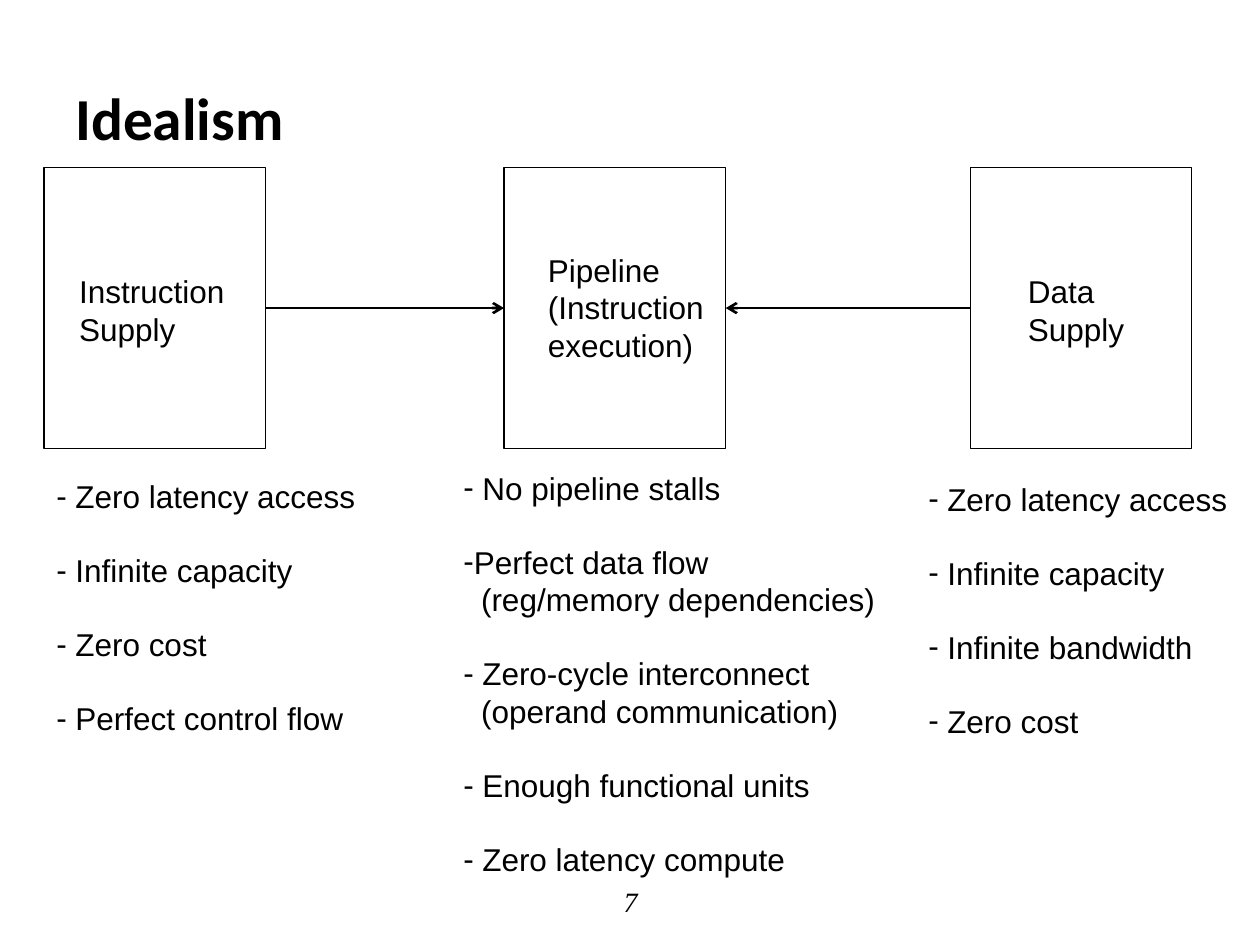
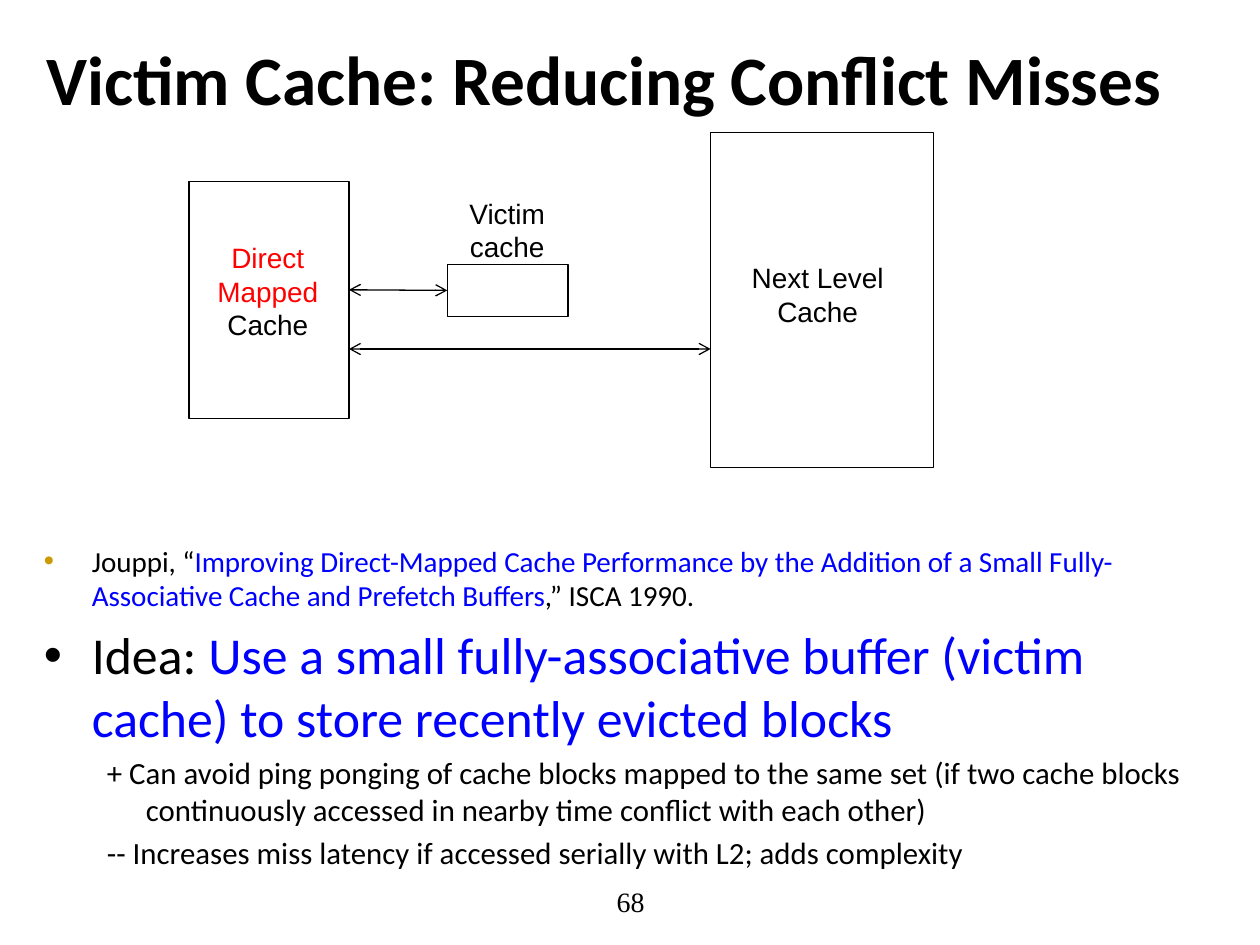
from dataclasses import dataclass
from typing import Optional

from lxml.etree import SubElement
from pptx import Presentation
from pptx.dml.color import RGBColor
from pptx.enum.shapes import MSO_CONNECTOR as Connector, MSO_SHAPE as Preset
from pptx.enum.text import MSO_ANCHOR as Anchor, PP_ALIGN as Align
from pptx.oxml.ns import qn
from pptx.util import Pt

PX = 9144  # 100 px to the inch
COLORS = {"black": "000000", "blue": "0000FF", "red": "FF0000", "gold": "CC9900"}
TOP, LEFT, BOTTOM, RIGHT = range(4)


@dataclass(frozen=True)
class Box:
    left: int
    top: int
    width: int
    height: int

    @property
    def emu(self) -> tuple[int, ...]:
        return tuple(px * PX for px in (self.left, self.top, self.width, self.height))


@dataclass(frozen=True)
class Style:
    font: str = "Arial"
    size: float = 18
    bold: bool = False
    italic: bool = False
    align: Align = Align.LEFT


@dataclass(frozen=True)
class Run:
    text: str
    color: str = "black"


@dataclass(frozen=True)
class Line:
    """One paragraph; margin and indent are in px, space_before in points."""
    runs: tuple[Run, ...]
    style: Style = Style()
    bullet: str = ""
    bullet_color: str = "black"
    margin: int = 0
    indent: int = 0
    space_before: float = 0


@dataclass(frozen=True)
class Stage:
    block: Box
    label_box: Box
    label: tuple[str, ...]
    ideals_box: Box
    ideals: tuple[Line, ...]


LABEL = Style()
CACHE_LABEL = Style(size=16, align=Align.CENTER)
IDEAL_GAP = 20.7  # one line of 18 pt Arial
NUMBER_BOX = Box(342, 695, 317, 40)


def rgb(name: str) -> RGBColor:
    return RGBColor.from_string(COLORS[name])


def plain(*texts: str, style: Style = LABEL) -> tuple[Line, ...]:
    return tuple(Line((Run(text),), style) for text in texts)


def ideal(text: str, hang: int = 15) -> Line:
    return Line((Run(text),), bullet="-", margin=hang, indent=-hang, space_before=IDEAL_GAP)


def detail(text: str) -> Line:
    """Continuation set under the ideal above it."""
    return Line((Run(text),), margin=14)


def add_bullet(paragraph, line: Line) -> None:
    properties = paragraph._p.get_or_add_pPr()
    properties.set("marL", str(line.margin * PX))
    properties.set("indent", str(line.indent * PX))
    if line.bullet:
        color = SubElement(properties, qn("a:buClr"))
        SubElement(color, qn("a:srgbClr")).set("val", COLORS[line.bullet_color])
        SubElement(properties, qn("a:buFont")).set("typeface", "Arial")
        SubElement(properties, qn("a:buChar")).set("char", line.bullet)


def add_text(slide, box: Box, lines: tuple[Line, ...], anchor: Anchor = Anchor.TOP) -> None:
    frame = slide.shapes.add_textbox(*box.emu).text_frame
    frame.word_wrap = True
    frame.vertical_anchor = anchor
    for index, line in enumerate(lines):
        paragraph = frame.add_paragraph() if index else frame.paragraphs[0]
        add_bullet(paragraph, line)
        paragraph.alignment = line.style.align
        paragraph.space_before = Pt(line.space_before if index else 0)
        font = paragraph.font
        font.name, font.size = line.style.font, Pt(line.style.size)
        font.bold, font.italic = line.style.bold, line.style.italic
        same_color = len({run.color for run in line.runs}) == 1
        if same_color:
            font.color.rgb = rgb(line.runs[0].color)
        for part in line.runs:
            run = paragraph.add_run()
            run.text = part.text
            if not same_color:
                run.font.color.rgb = rgb(part.color)


def add_block(slide, box: Box):
    shape = slide.shapes.add_shape(Preset.RECTANGLE, *box.emu)
    shape.shadow.inherit = False
    shape.fill.background()
    shape.line.color.rgb = rgb("black")
    shape.line.width = Pt(0.75)
    return shape


def add_arrow(slide, start: tuple[int, int], end: tuple[int, int],
              width: float, both_ends: bool = False):
    arrow = slide.shapes.add_connector(Connector.STRAIGHT, *(px * PX for px in start + end))
    arrow.line.color.rgb = rgb("black")
    arrow.line.width = Pt(width)
    line = arrow.line._get_or_add_ln()
    for tag in ("a:headEnd", "a:tailEnd") if both_ends else ("a:tailEnd",):
        SubElement(line, qn(tag)).set("type", "arrow")
    SubElement(arrow._element.spPr, qn("a:effectLst"))
    return arrow


def add_slide(presentation, title: str, title_box: Box, title_size: float,
              number: str, number_italic: bool = False):
    """Blank slide with the shared title and page number."""
    slide = presentation.slides.add_slide(presentation.slide_layouts[6])
    title_style = Style("Calibri", title_size, bold=True)
    number_style = Style("Times New Roman", 16, italic=number_italic, align=Align.CENTER)
    add_text(slide, title_box, plain(title, style=title_style), Anchor.MIDDLE)
    add_text(slide, NUMBER_BOX, plain(number, style=number_style), Anchor.MIDDLE)
    return slide


STAGES = (
    Stage(Box(35, 133, 176, 223), Box(53, 211, 137, 71), ("Instruction", "Supply"),
          Box(35, 374, 260, 313),
          (ideal("Zero latency access"), ideal("Infinite capacity"),
           ideal("Zero cost"), ideal("Perfect control flow"))),
    Stage(Box(400, 133, 176, 223), Box(425, 194, 145, 131),
          ("Pipeline", "(Instruction", "execution)"),
          Box(358, 367, 350, 404),
          (ideal("No pipeline stalls"),
           ideal("Perfect data flow", hang=8), detail("(reg/memory dependencies)"),
           ideal("Zero-cycle interconnect"), detail("(operand communication)"),
           ideal("Enough functional units"), ideal("Zero latency compute"))),
    Stage(Box(770, 133, 176, 223), Box(806, 211, 97, 71), ("Data", "Supply"),
          Box(727, 376, 260, 313),
          (ideal("Zero latency access"), ideal("Infinite capacity"),
           ideal("Infinite bandwidth"), ideal("Zero cost"))),
)


def build_idealism(presentation) -> None:
    slide = add_slide(presentation, "Idealism", Box(50, 30, 900, 125), 34, "7", True)
    blocks = []
    for stage in STAGES:
        blocks.append(add_block(slide, stage.block))
        add_text(slide, stage.label_box, plain(*stage.label))
        add_text(slide, stage.ideals_box, stage.ideals)
    instruction, pipeline, data = blocks
    for supply, exit_side, entry_side in ((instruction, RIGHT, LEFT), (data, LEFT, RIGHT)):
        arrow = add_arrow(slide, (0, 0), (0, 0), 1.5)
        arrow.begin_connect(supply, exit_side)
        arrow.end_connect(pipeline, entry_side)


def point(*runs: Run, size: float, bullet_color: str = "black",
          space_before: float = 6) -> Line:
    return Line(runs, Style("Calibri", size), "•", bullet_color, 38, -38, space_before)


def tradeoff(text: str) -> Line:
    return Line((Run(text),), Style("Calibri", 17.6), margin=81, indent=-31, space_before=3.5)


def build_victim_cache(presentation) -> None:
    slide = add_slide(presentation, "Victim Cache: Reducing Conflict Misses",
                      Box(27, -1, 925, 125), 39.6, "68")
    add_text(slide, Box(25, 426, 958, 251), (
        point(Run("Jouppi, “"),
              Run("Improving Direct-Mapped Cache Performance by the Addition of a Small "
                  "Fully-Associative Cache and Prefetch Buffers", "blue"),
              Run(",” ISCA 1990."), size=16.6, bullet_color="gold"),
        point(Run("Idea: "),
              Run("Use a small fully-associative buffer (victim cache) to store "
                  "recently evicted blocks", "blue"), size=29.6),
        tradeoff("+ Can avoid ping ponging of cache blocks mapped to the same set (if two "
                 "cache blocks continuously accessed in nearby time conflict with each other)"),
        tradeoff("-- Increases miss latency if accessed serially with L2; adds complexity"),
    ))

    direct_mapped = Box(150, 144, 127, 188)
    victim = Box(355, 210, 96, 41)
    next_level = Box(564, 105, 177, 266)
    _, victim_block, _ = [add_block(slide, box) for box in (direct_mapped, victim, next_level)]

    add_text(slide, Box(155, 186, 115, 91),
             (Line((Run("Direct Mapped ", "red"), Run("Cache")), CACHE_LABEL),))
    add_text(slide, Box(345, 151, 115, 64), plain("Victim cache", style=CACHE_LABEL))
    add_text(slide, Box(569, 202, 160, 64), plain("Next Level", "Cache", style=CACHE_LABEL))

    cache_edge = direct_mapped.left + direct_mapped.width
    victim_middle = victim.top + victim.height // 2
    swap = add_arrow(slide, (cache_edge, victim_middle), (victim.left, victim_middle), 0.75, True)
    swap.end_connect(victim_block, LEFT)
    add_arrow(slide, (cache_edge, 277), (next_level.left, 277), 0.75, True)


def main() -> None:
    presentation = Presentation()
    presentation.slide_width, presentation.slide_height = 1000 * PX, 750 * PX
    build_idealism(presentation)
    build_victim_cache(presentation)
    presentation.save("out.pptx")


if __name__ == "__main__":
    main()
